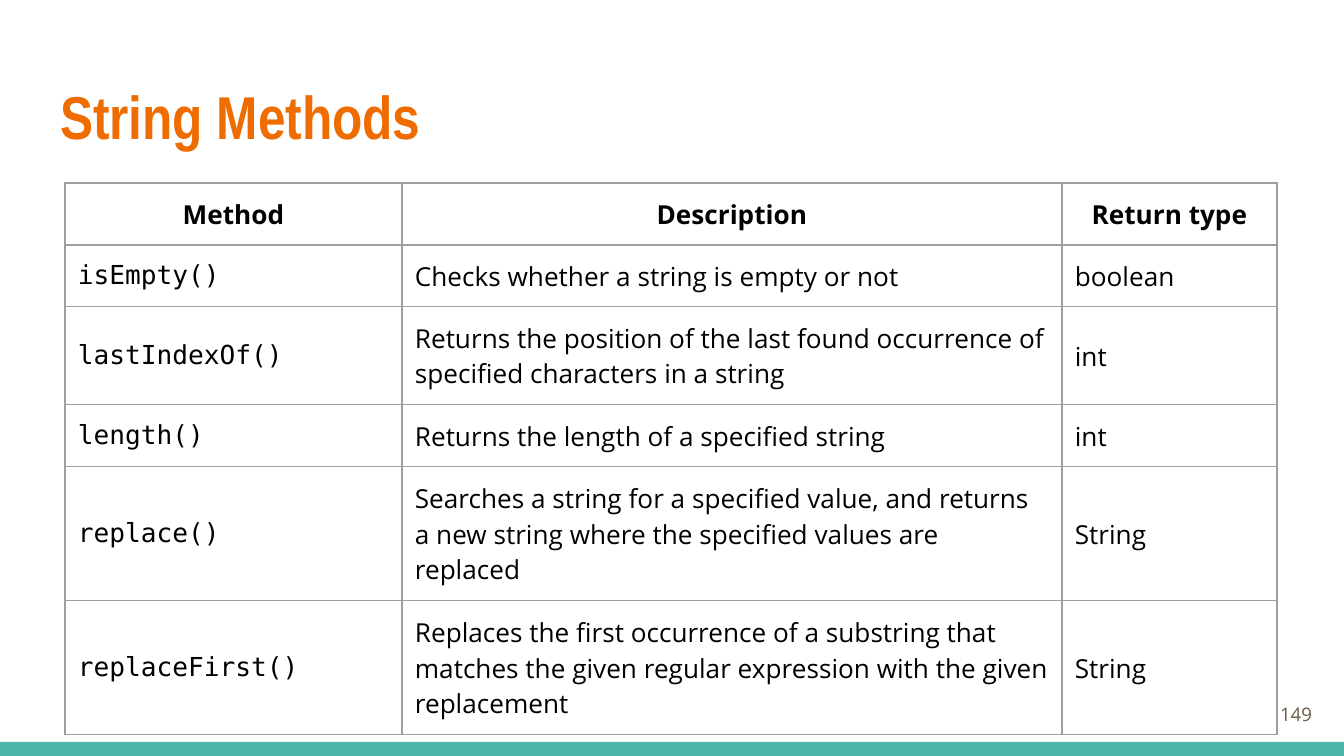
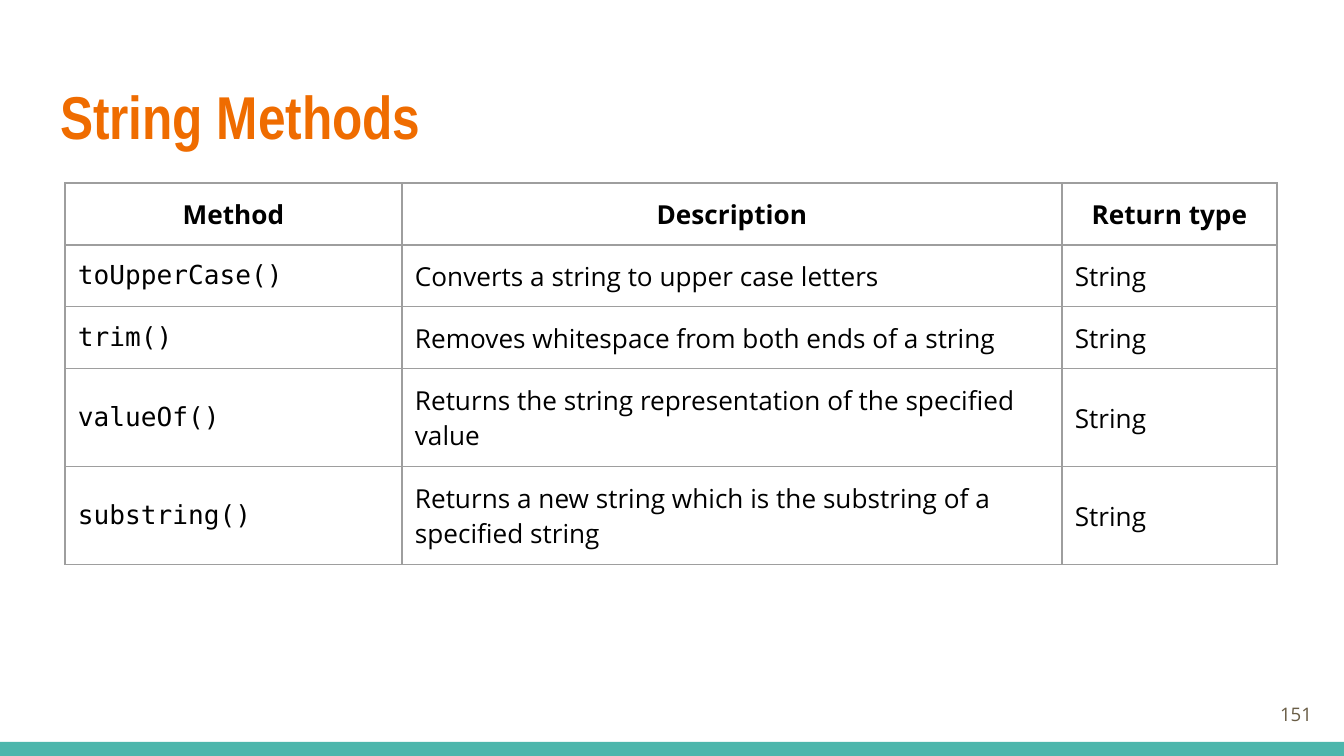
"""Build two slides that list Java string methods in tables."""
from dataclasses import dataclass
from math import ceil

from lxml import etree
from pptx import Presentation
from pptx.dml.color import RGBColor
from pptx.enum.shapes import MSO_SHAPE
from pptx.enum.text import MSO_ANCHOR, PP_ALIGN
from pptx.oxml.ns import qn
from pptx.util import Emu, Pt

RECTANGLE = MSO_SHAPE.RECTANGLE
TOP, MIDDLE = MSO_ANCHOR.TOP, MSO_ANCHOR.MIDDLE
LEFT, CENTER, RIGHT = PP_ALIGN.LEFT, PP_ALIGN.CENTER, PP_ALIGN.RIGHT
EMU_PER_PX = 914400 / 134.4
SLIDE_WIDTH, SLIDE_HEIGHT = 1344, 756
BAND_HEIGHT = 14
INSET = 13
COLUMN_WIDTHS = (337, 660, 215)
LINE_HEIGHT = 36
CHARACTERS_PER_LINE = 50


@dataclass(frozen=True)
class Theme:
    accent: str = "EF6C00"
    band: str = "4DB6AC"
    muted: str = "695D46"
    ink: str = "000000"
    grid: str = "9E9E9E"
    title_font: str = "Arial Narrow"
    body_font: str = "Open Sans"
    code_font: str = "DejaVu Sans Mono"
    title_size: float = 32.4
    body_size: float = 14
    number_size: float = 10
    grid_width: float = 0.75


THEME = Theme()
HEADINGS = ("Method", "Description", "Return type")
SLIDES = (
    ("149", (
        ("isEmpty()", "Checks whether a string is empty or not", "boolean"),
        ("lastIndexOf()", "Returns the position of the last found occurrence of "
         "specified characters in a string", "int"),
        ("length()", "Returns the length of a specified string", "int"),
        ("replace()", "Searches a string for a specified value, and returns a new "
         "string where the specified values are replaced", "String"),
        ("replaceFirst()", "Replaces the first occurrence of a substring that matches "
         "the given regular expression with the given replacement", "String"),
    )),
    ("151", (
        ("toUpperCase()", "Converts a string to upper case letters", "String"),
        ("trim()", "Removes whitespace from both ends of a string", "String"),
        ("valueOf()", "Returns the string representation of the specified value",
         "String"),
        ("substring()", "Returns a new string which is the substring of a "
         "specified string", "String"),
    )),
)


def px(length):
    return Emu(round(length * EMU_PER_PX))


def apply_format(target, values):
    for attribute, value in values.items():
        setattr(target, attribute, value)


def set_insets(target):
    apply_format(target, {f"margin_{side}": px(INSET)
                          for side in ("left", "top", "right", "bottom")})


def write_text(frame, text, font, size, color, bold=False, align=LEFT):
    paragraph = frame.paragraphs[0]
    paragraph.alignment = align
    run = paragraph.add_run()
    run.text = text
    apply_format(run.font, {"name": font, "size": Pt(size), "bold": bold})
    run.font.color.rgb = RGBColor.from_string(color)


def add_label(slide, box, text, font, size, color, anchor=MIDDLE, **style):
    frame = slide.shapes.add_textbox(*map(px, box)).text_frame
    set_insets(frame)
    apply_format(frame, {"word_wrap": True, "vertical_anchor": anchor})
    write_text(frame, text, font, size, color, **style)


def add_band(slide):
    band = slide.shapes.add_shape(RECTANGLE, 0, px(SLIDE_HEIGHT - BAND_HEIGHT),
                                  px(SLIDE_WIDTH), px(BAND_HEIGHT))
    band.shadow.inherit = False
    band.fill.solid()
    band.fill.fore_color.rgb = RGBColor.from_string(THEME.band)
    band.line.fill.background()


def draw_borders(cell):
    properties = cell._tc.get_or_add_tcPr()
    for position, edge in enumerate(("lnL", "lnR", "lnT", "lnB")):
        border = etree.Element(qn(f"a:{edge}"), w=str(Pt(THEME.grid_width)))
        fill = etree.SubElement(border, qn("a:solidFill"))
        etree.SubElement(fill, qn("a:srgbClr"), val=THEME.grid)
        properties.insert(position, border)


def row_height(row):
    lines = ceil(len(row[1]) / CHARACTERS_PER_LINE)
    return 2 * INSET + LINE_HEIGHT * lines


def add_method_table(slide, methods):
    rows = (HEADINGS, *methods)
    table = slide.shapes.add_table(
        len(rows), len(HEADINGS), px(65), px(183),
        px(sum(COLUMN_WIDTHS)), px(sum(map(row_height, rows)))).table
    apply_format(table, {"first_row": False, "horz_banding": False})
    for column, width in zip(table.columns, COLUMN_WIDTHS):
        column.width = px(width)
    for row_index, row in enumerate(rows):
        table.rows[row_index].height = px(row_height(row))
        for column_index, text in enumerate(row):
            heading = row_index == 0
            code = column_index == 0 and not heading
            cell = table.cell(row_index, column_index)
            set_insets(cell)
            cell.vertical_anchor = MIDDLE
            cell.fill.background()
            draw_borders(cell)
            write_text(cell.text_frame, text,
                       THEME.code_font if code else THEME.body_font,
                       THEME.body_size, THEME.ink, bold=heading,
                       align=CENTER if heading else LEFT)


def add_methods_slide(deck, number, methods):
    slide = deck.slides.add_slide(deck.slide_layouts[6])
    add_band(slide)
    add_label(slide, (47, 66, 1252, 104), "String Methods", THEME.title_font,
              THEME.title_size, THEME.accent, anchor=TOP, bold=True)
    add_label(slide, (1245, 685, 80, 58), number, THEME.body_font,
              THEME.number_size, THEME.muted, align=RIGHT)
    add_method_table(slide, methods)


def main():
    deck = Presentation()
    apply_format(deck, {"slide_width": px(SLIDE_WIDTH),
                        "slide_height": px(SLIDE_HEIGHT)})
    for number, methods in SLIDES:
        add_methods_slide(deck, number, methods)
    deck.save("out.pptx")


if __name__ == "__main__":
    main()
